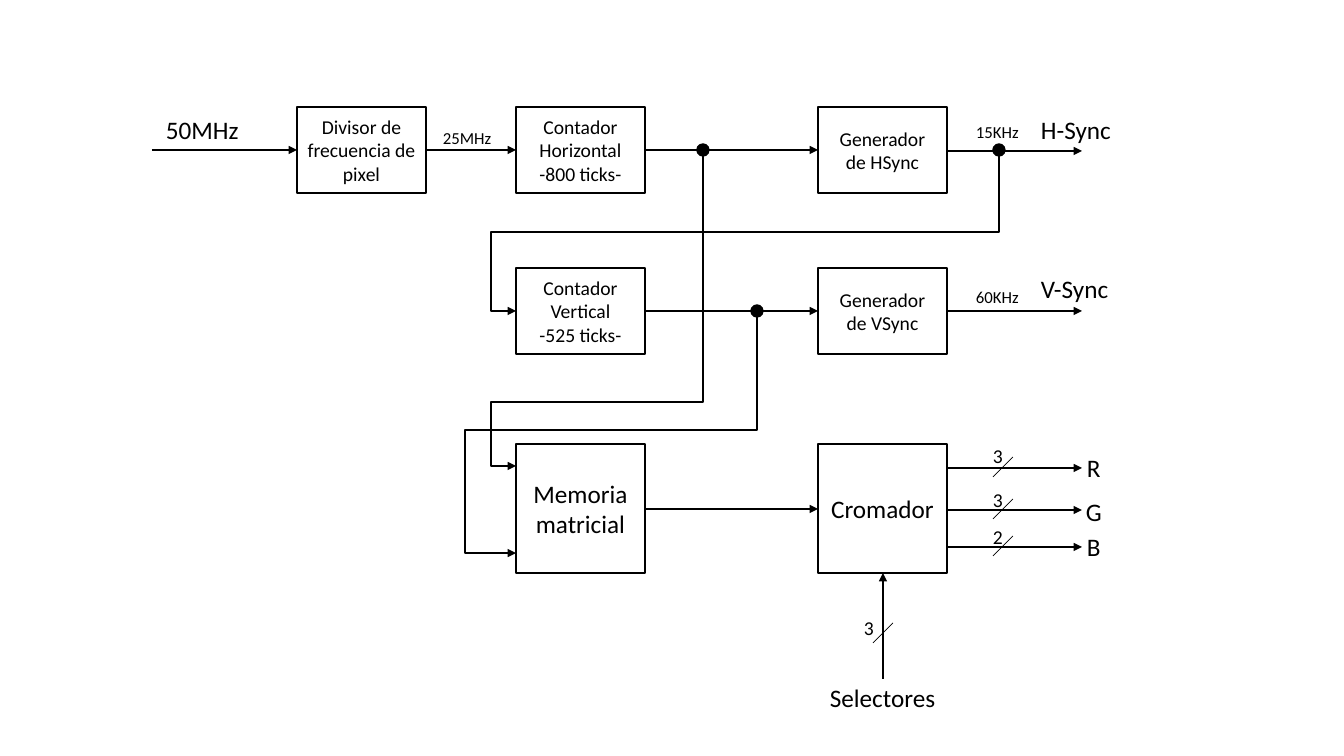
import pptx
import pptx.dml.color
import pptx.enum.shapes
import pptx.enum.text
import pptx.oxml
import pptx.oxml.ns
import pptx.util

SHAPE = pptx.enum.shapes.MSO_SHAPE
CONNECTOR = pptx.enum.shapes.MSO_CONNECTOR
ALIGN = pptx.enum.text.PP_ALIGN
ANCHOR = pptx.enum.text.MSO_ANCHOR
AUTO_SIZE = pptx.enum.text.MSO_AUTO_SIZE

SCALE = 914400 / 100.8
FONT, BLACK, WHITE = "Calibri", "000000", "FFFFFF"

# Grid of blocks: column lefts, row tops and heights
BLOCK_WIDTH = 129
COLUMNS = {"divider": 297, "counter": 516, "generator": 818}
ROWS = {"horizontal": (107, 86), "vertical": (268, 86), "colour": (444, 129)}
BLOCKS = [
    ("divider", "horizontal", 14, ["Divisor de frecuencia de pixel"]),
    ("counter", "horizontal", 14, ["Contador Horizontal", "-800 ticks-"]),
    ("generator", "horizontal", 14, ["Generador de HSync"]),
    ("counter", "vertical", 14, ["Contador Vertical", "-525 ticks-"]),
    ("generator", "vertical", 14, ["Generador de VSync"]),
    ("counter", "colour", 18, ["Memoria matricial"]),
    ("generator", "colour", 18, ["Cromador"]),
]

INPUT_START, OUTPUT_END = 152, 1082
AFTER = {name: left + BLOCK_WIDTH for name, left in COLUMNS.items()}
COUNTER, GENERATOR = COLUMNS["counter"], COLUMNS["generator"]
SELECTOR_X = GENERATOR + BLOCK_WIDTH // 2 + 1

# Straight signals: from x, from y, to x, to y
SIGNALS = [
    (INPUT_START, 150, COLUMNS["divider"], 150),
    (AFTER["divider"], 150, COUNTER, 150),
    (AFTER["counter"], 150, GENERATOR, 150),
    (AFTER["generator"], 151, OUTPUT_END, 151),
    (AFTER["counter"], 311, GENERATOR, 311),
    (AFTER["generator"], 311, OUTPUT_END, 311),
    (AFTER["counter"], 509, GENERATOR, 509),
    (SELECTOR_X, 679, SELECTOR_X, 573),
]

# Taps: dot x, dot y, turn y, turn x, target y
DOT = 12
TAPS = [
    (999, 150, 232, 491, 311),
    (703, 150, 402, 491, 466),
    (757, 311, 430, 465, 553),
]

# Colour outputs: name, bit count, line y, name left, name top, digit top
COLOUR_OUTPUTS = [
    ("R", "3", 468, 1077, 447, 439),
    ("G", "3", 510, 1076, 491, 483),
    ("B", "2", 547, 1077, 526, 520),
]
SLASH = 20

# Labels: text, size, left, top, width
LABELS = [
    ("50MHz", 18, 156, 109, 94),
    ("H-Sync", 18, 1031, 109, 91),
    ("V-Sync", 18, 1031, 268, 91),
    ("Selectores", 18, 820, 677, 127),
    ("25MHz", 12, 433, 123, 70),
    ("15KHz", 12, 966, 117, 64),
    ("60KHz", 12, 966, 282, 64),
    ("3", 14, 854, 611, 30),
]
LABEL_HEIGHTS = {12: 30, 14: 34, 18: 40}


def emu(*pixels):
    """Turn pixel lengths into EMU."""
    return [pptx.util.Emu(round(value * SCALE)) for value in pixels]


def colour(hex_string):
    """Return the colour for a hex string."""
    return pptx.dml.color.RGBColor.from_string(hex_string)


def set_attributes(target, values):
    """Set every attribute named in a dict."""
    for name, value in values.items():
        setattr(target, name, value)


def write(shape, lines, size, frame_format, alignment):
    """Write one paragraph per line into a shape."""
    frame = shape.text_frame
    set_attributes(frame, frame_format)
    frame.text = "\n".join(lines)
    for paragraph in frame.paragraphs:
        paragraph.alignment = alignment
        set_attributes(paragraph.font, {"name": FONT, "size": pptx.util.Pt(size)})
        paragraph.font.color.rgb = colour(BLACK)


def add_outlined(slide, preset, box, fill):
    """Add a preset shape with a thin black line."""
    shape = slide.shapes.add_shape(preset, *emu(*box))
    shape.shadow.inherit = False
    shape.fill.solid()
    shape.fill.fore_color.rgb = colour(fill)
    shape.line.color.rgb = colour(BLACK)
    shape.line.width = pptx.util.Pt(1)
    return shape


def add_label(slide, text, size, left, top, width):
    """Add an unwrapped text label."""
    box = slide.shapes.add_textbox(*emu(left, top, width, LABEL_HEIGHTS[size]))
    frame_format = {"word_wrap": False, "auto_size": AUTO_SIZE.SHAPE_TO_FIT_TEXT}
    write(box, [text], size, frame_format, ALIGN.LEFT)


def add_line(slide, ends, width=1.5, arrow=True, kind=CONNECTOR.STRAIGHT):
    """Add a black connector, with an arrowhead at its end if asked."""
    connector = slide.shapes.add_connector(kind, *emu(*ends))
    connector.line.color.rgb = colour(BLACK)
    connector.line.width = pptx.util.Pt(width)
    properties = connector.element.spPr
    if arrow:
        line = properties.find(pptx.oxml.ns.qn("a:ln"))
        head = pptx.oxml.parse_xml(
            f'<a:tailEnd {pptx.oxml.ns.nsdecls("a")} type="triangle"/>')
        line.append(head)
    properties.append(pptx.oxml.parse_xml(
        f'<a:effectLst {pptx.oxml.ns.nsdecls("a")}/>'))
    return connector


def add_tap(slide, x, y, turn_y, turn_x, target_y):
    """Add a dot and the bent arrow from below it to the counter column."""
    radius = DOT / 2
    add_outlined(slide, SHAPE.OVAL, (x - radius, y - radius, DOT, DOT), BLACK)
    start_y = y + radius
    drop, reach = target_y - start_y, x - COUNTER
    middle_x, middle_y = (x + COUNTER) / 2, (start_y + target_y) / 2
    ends = (middle_x - drop / 2, middle_y - reach / 2,
            middle_x + drop / 2, middle_y + reach / 2)
    connector = add_line(slide, ends, kind=CONNECTOR.ELBOW)
    properties = connector.element.spPr
    properties.find(pptx.oxml.ns.qn("a:xfrm")).set("rot", str(90 * 60000))
    ratios = ((turn_y - start_y) / drop, (x - turn_x) / reach)
    guides = "".join(
        f'<a:gd name="adj{number}" fmla="val {round(ratio * 100000)}"/>'
        for number, ratio in enumerate(ratios, 1))
    geometry = pptx.oxml.parse_xml(
        f'<a:prstGeom {pptx.oxml.ns.nsdecls("a")} prst="bentConnector4">'
        f'<a:avLst>{guides}</a:avLst></a:prstGeom>')
    properties.replace(properties.find(pptx.oxml.ns.qn("a:prstGeom")), geometry)


def add_slash(slide, left, top):
    """Add the thin diagonal stroke that marks a bus."""
    add_line(slide, (left + SLASH, top, left, top + SLASH), 0.5, False)


presentation = pptx.Presentation()
set_attributes(presentation, dict(zip(("slide_width", "slide_height"), emu(1344, 756))))
slide = presentation.slides.add_slide(presentation.slide_layouts[6])

for column, row, size, lines in BLOCKS:
    top, height = ROWS[row]
    block = add_outlined(
        slide, SHAPE.RECTANGLE, (COLUMNS[column], top, BLOCK_WIDTH, height), WHITE)
    frame_format = {"word_wrap": True, "vertical_anchor": ANCHOR.MIDDLE}
    write(block, lines, size, frame_format, ALIGN.CENTER)

for signal in SIGNALS:
    add_line(slide, signal)
for tap in TAPS:
    add_tap(slide, *tap)

for name, bits, y, name_left, name_top, digit_top in COLOUR_OUTPUTS:
    add_line(slide, (AFTER["generator"], y, OUTPUT_END, y))
    add_slash(slide, 993, y - 11)
    add_label(slide, name, 18, name_left, name_top, 35)
    add_label(slide, bits, 14, 983, digit_top, 30)
add_slash(slide, SELECTOR_X - SLASH // 2, 623)

for label in LABELS:
    add_label(slide, *label)

presentation.save("out.pptx")
